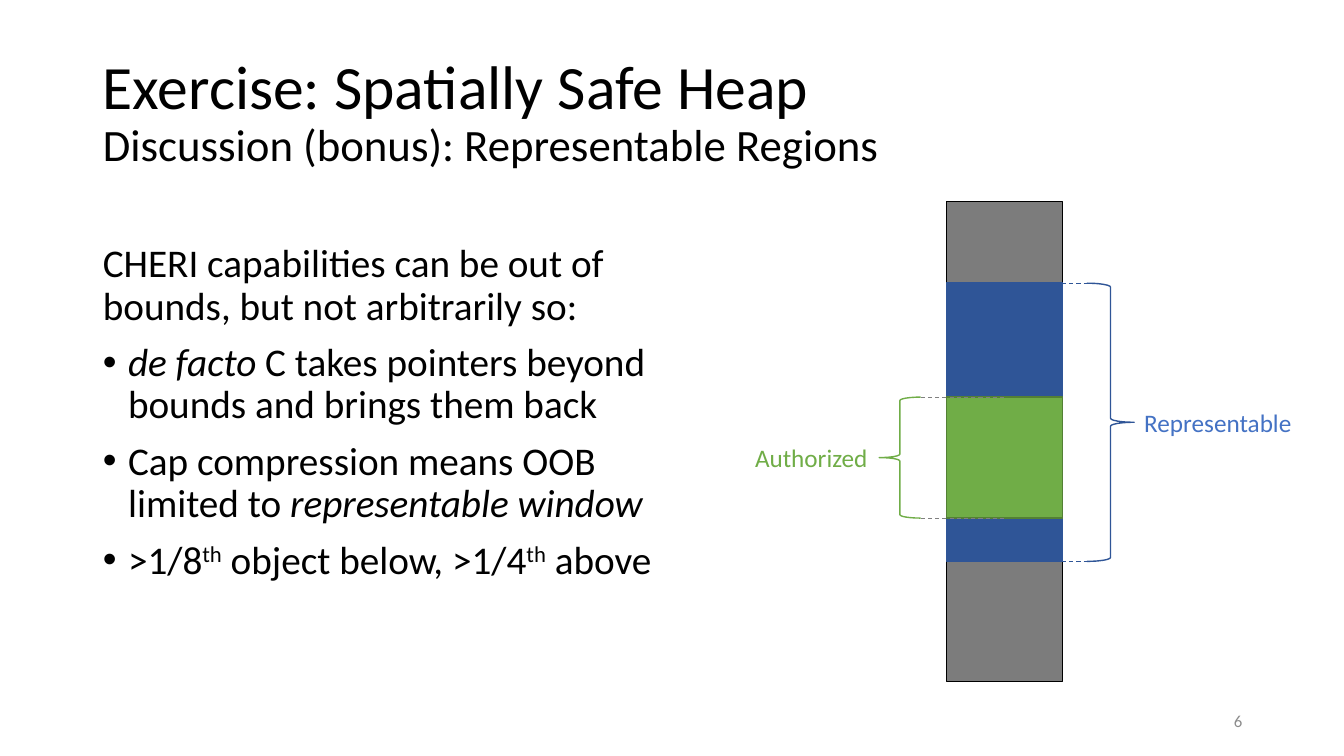
"""Build the slide on representable regions of a spatially safe heap."""
from lxml import etree
from pptx import Presentation
from pptx.dml.color import RGBColor
from pptx.enum.dml import MSO_LINE_DASH_STYLE as Dash
from pptx.enum.shapes import MSO_CONNECTOR as Connector, MSO_SHAPE as Shape
from pptx.enum.text import MSO_ANCHOR as Anchor, MSO_AUTO_SIZE as AutoSize, PP_ALIGN as Align
from pptx.oxml.ns import qn
from pptx.util import Inches, Pt

BLACK = RGBColor(0x00, 0x00, 0x00)
GRAY = RGBColor(0x7C, 0x7C, 0x7C)
DASH_GRAY = RGBColor(0x80, 0x80, 0x80)
NUMBER_GRAY = RGBColor(0x8C, 0x8C, 0x8C)
NAVY = RGBColor(0x2F, 0x55, 0x97)
BLUE = RGBColor(0x44, 0x72, 0xC4)
GREEN = RGBColor(0x70, 0xAD, 0x47)
DARK_GREEN = RGBColor(0x53, 0x80, 0x35)

TITLE = [("Exercise: Spatially Safe Heap\v", 44), ("Discussion (bonus): Representable Regions", 32)]
INTRO = [("CHERI capabilities can be out of bounds, but not arbitrarily so:", "")]
BULLETS = [
    [("de facto", "italic"), (" C takes pointers beyond bounds and brings them back", "")],
    [("Cap compression means OOB limited to ", ""), ("representable window", "italic")],
    [(">1/8", ""), ("th", "super"), (" object below, >1/4", ""), ("th", "super"), (" above", "")],
]

BAR_LEFT, BAR_WIDTH = 9.39, 1.15
BAR_MIDDLE = 9.96
HEAP = (2, 6.76)
REPRESENTABLE = (2.81, 5.57)
AUTHORIZED = (3.94, 5.14)
REGIONS = [(HEAP, GRAY, BLACK), (REPRESENTABLE, NAVY, NAVY), (AUTHORIZED, GREEN, DARK_GREEN)]
BRACES = [
    (Shape.RIGHT_BRACE, REPRESENTABLE, 10.78, 0.47, 10.78, NAVY, NAVY),
    (Shape.LEFT_BRACE, AUTHORIZED, 8.72, 0.41, 9.13, GREEN, DASH_GRAY),
]
LABELS = [
    ("Authorized", (7.39, 4.34, 1.33, 0.4), GREEN),
    ("Representable", (11.25, 3.99, 1.68, 0.4), BLUE),
]


def add_span(para, text, size=18, color=BLACK, style=""):
    """Add one formatted run, with a line break where the text ends in one."""
    span = para.add_run()
    span.text = text.rstrip("\v")
    span.font.name = "Calibri"
    span.font.size = Pt(size)
    span.font.color.rgb = color
    span.font.italic = style == "italic"
    if style == "super":
        span.font._element.set("baseline", "30000")
    if text.endswith("\v"):
        para.add_line_break()


def place(box, left, top, width, height):
    """Move a placeholder and set its text frame."""
    box.left, box.top = Inches(left), Inches(top)
    box.width, box.height = Inches(width), Inches(height)
    frame = box.text_frame
    frame.auto_size = AutoSize.NONE
    frame.vertical_anchor = Anchor.MIDDLE
    return frame


def set_bullet(para, indent, char=None):
    """Set the hanging indent and bullet of a paragraph."""
    props = para._p.get_or_add_pPr()
    props.set("marL", str(Inches(indent)))
    props.set("indent", str(-Inches(indent)))
    if char:
        font = etree.SubElement(props, qn("a:buFont"))
        font.set("typeface", "Arial")
        etree.SubElement(props, qn("a:buChar")).set("char", char)
    else:
        etree.SubElement(props, qn("a:buNone"))


def add_block(page, kind, left, span, width, line, fill=None):
    """Add a shape that covers a vertical span."""
    top, bottom = span
    block = page.shapes.add_shape(kind, Inches(left), Inches(top), Inches(width), Inches(bottom - top))
    block.shadow.inherit = False
    if fill is None:
        block.fill.background()
    else:
        block.fill.solid()
        block.fill.fore_color.rgb = fill
    block.line.color.rgb = line
    block.line.width = Pt(1)


def add_dash(page, end, y, color):
    """Add a dashed line from the middle of the bar to a brace."""
    dash = page.shapes.add_connector(
        Connector.STRAIGHT, Inches(BAR_MIDDLE), Inches(y), Inches(end), Inches(y))
    dash.line.color.rgb = color
    dash.line.width = Pt(0.75)
    dash.line.dash_style = Dash.DASH
    etree.SubElement(dash._element.spPr, qn("a:effectLst"))


def add_label(page, text, area, wrap=False, align=Align.LEFT, anchor=Anchor.TOP, **style):
    """Add a text box with one line of text."""
    frame = page.shapes.add_textbox(*map(Inches, area)).text_frame
    frame.word_wrap = wrap
    frame.vertical_anchor = anchor
    para = frame.paragraphs[0]
    para.alignment = align
    add_span(para, text, **style)


def main():
    """Build and save the deck."""
    deck = Presentation()
    deck.slide_width, deck.slide_height = Inches(13.33), Inches(7.5)
    page = deck.slides.add_slide(deck.slide_layouts[1])

    para = place(page.shapes.title, 0.92, 0.4, 11.5, 1.45).paragraphs[0]
    para.alignment = Align.LEFT
    para.line_spacing = 0.9
    for text, size in TITLE:
        add_span(para, text, size=size)

    frame = place(page.placeholders[1], 0.92, 2, 5.67, 4.2)
    for index, spans in enumerate([INTRO] + BULLETS):
        para = frame.add_paragraph() if index else frame.paragraphs[0]
        para.line_spacing = 0.9
        para.space_before = Pt(10)
        set_bullet(para, 0.25 if index else 0, "•" if index else None)
        for text, style in spans:
            add_span(para, text, size=28, style=style)

    for span, fill, line in REGIONS:
        add_block(page, Shape.RECTANGLE, BAR_LEFT, span, BAR_WIDTH, line, fill)
    for kind, span, left, width, dash_end, color, dash_color in BRACES:
        for y in span:
            add_dash(page, dash_end, y, dash_color)
        add_block(page, kind, left, span, width, color)
    for text, area, color in LABELS:
        add_label(page, text, area, color=color)
    add_label(page, "6", (9.42, 6.95, 3, 0.4), wrap=True, align=Align.RIGHT,
              anchor=Anchor.MIDDLE, size=12, color=NUMBER_GRAY)
    deck.save("out.pptx")


if __name__ == "__main__":
    main()
